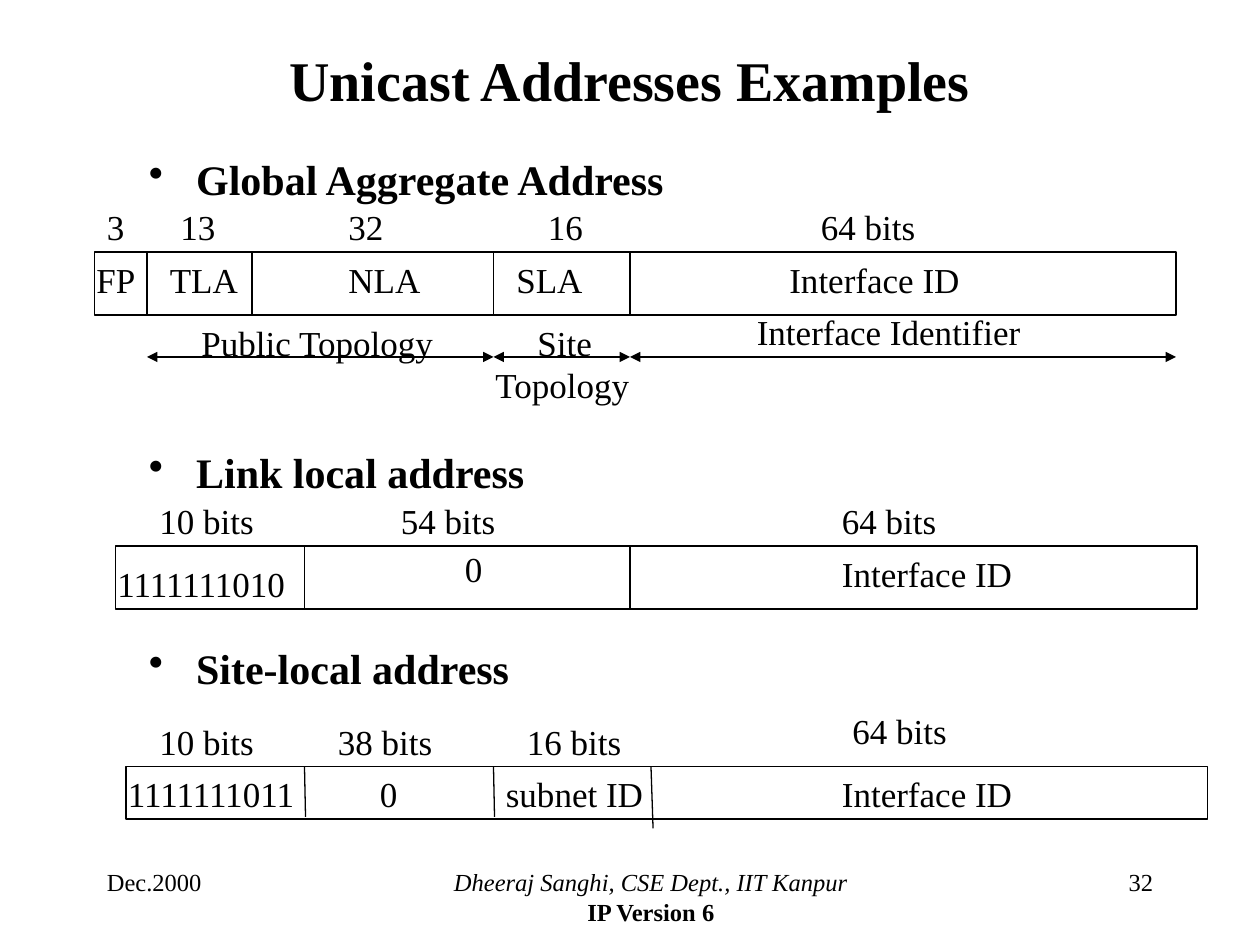
from lxml import etree
from pptx import Presentation
from pptx import util as u
from pptx.dml.color import RGBColor
from pptx.enum import shapes, text
from pptx.oxml.ns import qn

PX = 7620  # EMU per px, 120 px to the inch
BLACK = RGBColor(0, 0, 0)
FONT = "Times New Roman"
LEFT, CENTER, RIGHT = text.PP_ALIGN.LEFT, text.PP_ALIGN.CENTER, text.PP_ALIGN.RIGHT

TITLE = "Unicast Addresses Examples"
HEADINGS = [  # text, space before in points
    ("Global Aggregate Address", 0),
    ("Link local address", 139),
    ("Site-local address", 83),
]
FOOTERS = [  # left, width, alignment, lines
    (90, 250, LEFT, ["Dec.2000"]),
    (410, 420, CENTER, ["Dheeraj Sanghi, CSE Dept., IIT Kanpur", "IP Version 6"]),
    (860, 250, RIGHT, ["32"]),
]

# Each address format: frame, dividers (x top, x bottom, y bottom)
BAR_WIDTH = 1030
FORMATS = [
    ((90, 240, 60), [(x, x, 300) for x in (140, 240, 470, 600)]),
    ((110, 520, 60), [(x, x, 580) for x in (290, 600)]),
    ((120, 730, 50), [(290, 291, 778), (470, 471, 778), (620, 622, 789)]),
]
EXTENT_Y = 340
EXTENT_STOPS = [140, 470, 600, 1120]

LABEL_HEIGHT = 53
LABELS = {  # top: (text, left, width)
    # Global aggregate address
    190: [("3", 90, 41), ("13", 160, 74), ("32", 320, 65), ("16", 510, 58),
          ("64 bits", 770, 115)],
    240: [("FP", 80, 62), ("TLA", 150, 127), ("NLA", 320, 100), ("SLA", 480, 87),
          ("Interface ID", 740, 187)],
    290: [("Interface Identifier", 709, 276)],
    300: [("Public Topology", 180, 248), ("Site", 500, 76)],
    340: [("Topology", 460, 155)],
    # Link local address
    470: [("10 bits", 140, 115), ("54 bits", 370, 115), ("64 bits", 790, 115)],
    516: [("0", 431, 41)],
    520: [("Interface ID", 790, 187)],
    530: [("1111111010", 100, 191)],
    # Site-local address
    670: [("64 bits", 800, 115)],
    680: [("10 bits", 140, 115), ("38 bits", 310, 115), ("16 bits", 490, 115)],
    730: [("1111111011", 110, 191), ("0", 350, 41), ("subnet ID", 470, 156),
          ("Interface ID", 790, 187)],
}


def px(*lengths):
    return [u.Emu(length * PX) for length in lengths]


def add_text(slide, box, lines, size, bold=False, align=LEFT):
    shape = slide.shapes.add_textbox(*px(*box))
    frame = shape.text_frame
    frame.word_wrap = True
    frame.text = "\n".join(lines)
    for paragraph in frame.paragraphs:
        paragraph.alignment = align
        font = paragraph.runs[0].font
        font.name, font.size, font.bold = FONT, u.Pt(size), bold
        font.color.rgb = BLACK
    return frame


def add_line(slide, x1, y1, x2, y2, arrows=False):
    line = slide.shapes.add_connector(shapes.MSO_CONNECTOR.STRAIGHT, *px(x1, y1, x2, y2))
    line.line.color.rgb = BLACK
    line.line.width = u.Pt(0.75)
    properties = line._element.spPr
    if arrows:
        outline = properties.find(qn("a:ln"))
        for end in ("a:headEnd", "a:tailEnd"):
            etree.SubElement(outline, qn(end), type="triangle")
    etree.SubElement(properties, qn("a:effectLst"))


def add_bar(slide, left, top, height):
    bar = slide.shapes.add_shape(shapes.MSO_SHAPE.RECTANGLE, *px(left, top, BAR_WIDTH, height))
    bar.shadow.inherit = False
    bar.fill.background()
    bar.line.color.rgb = BLACK
    bar.line.width = u.Pt(0.75)


def add_bullet(paragraph, indent):
    properties = paragraph._p.get_or_add_pPr()
    properties.set("marL", str(indent))
    properties.set("indent", str(-indent))
    etree.SubElement(properties, qn("a:buChar"), char="•")


def main():
    presentation = Presentation()
    presentation.slide_width, presentation.slide_height = px(1200, 900)
    slide = presentation.slides.add_slide(presentation.slide_layouts[6])

    # Footer
    for left, width, align, lines in FOOTERS:
        footer = add_text(slide, (left, 820, width, 60), lines, 14, align=align)
        if len(lines) > 1:
            author, topic = footer.paragraphs
            author.runs[0].font.italic = True
            topic.runs[0].font.bold = True

    # Title and headings
    title = add_text(slide, (90, 30, 1020, 90), [TITLE], 32, True, CENTER)
    title.vertical_anchor = text.MSO_ANCHOR.MIDDLE
    body = add_text(slide, (130, 140, 850, 540), [heading for heading, _ in HEADINGS], 24, True)
    for paragraph, (_, space) in zip(body.paragraphs, HEADINGS):
        paragraph.space_before = u.Pt(space)
        add_bullet(paragraph, 45 * PX)

    # Address bars with their dividers
    for (left, top, height), dividers in FORMATS:
        add_bar(slide, left, top, height)
        for x_top, x_bottom, bottom in dividers:
            add_line(slide, x_top, top, x_bottom, bottom)

    # Extent arrows
    for start, end in zip(EXTENT_STOPS, EXTENT_STOPS[1:]):
        add_line(slide, start, EXTENT_Y, end, EXTENT_Y, arrows=True)

    # Field names and sizes
    for top, labels in LABELS.items():
        for label, left, width in labels:
            add_text(slide, (left, top, width, LABEL_HEIGHT), [label], 20)

    presentation.save("out.pptx")


if __name__ == "__main__":
    main()
